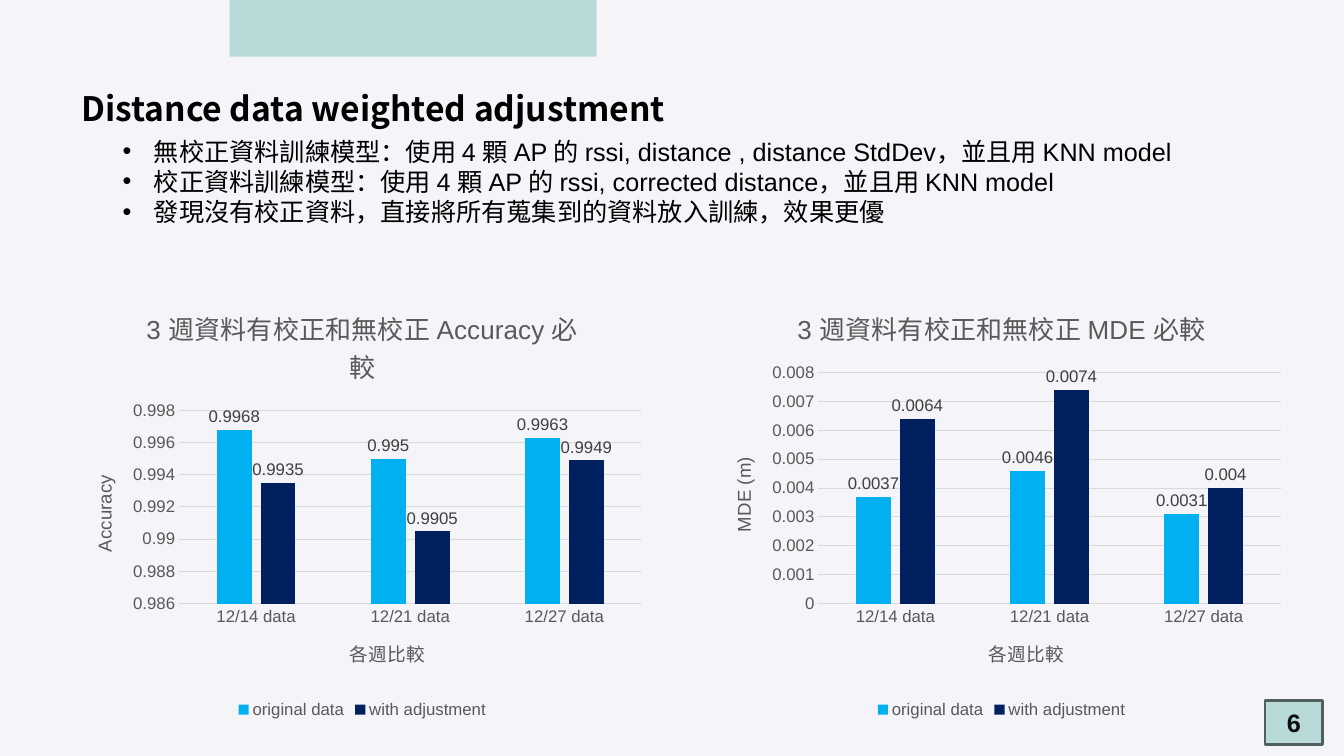
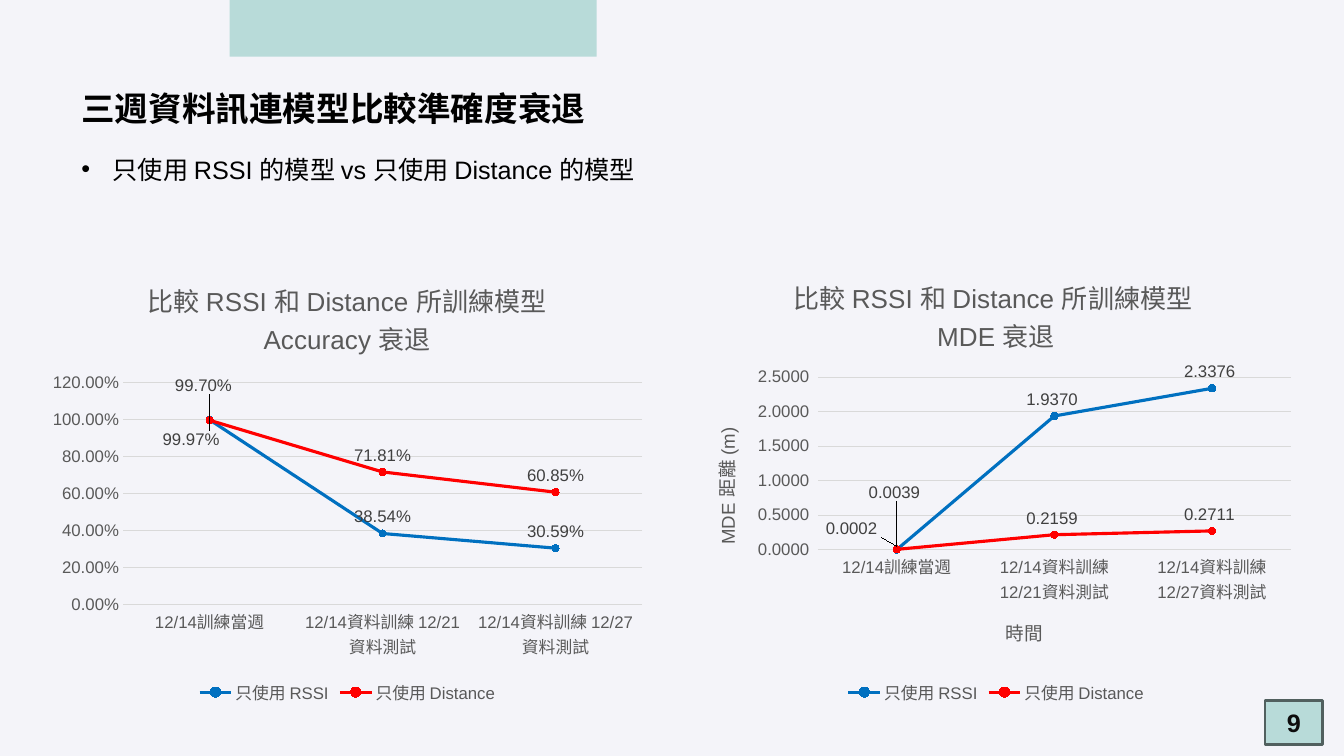
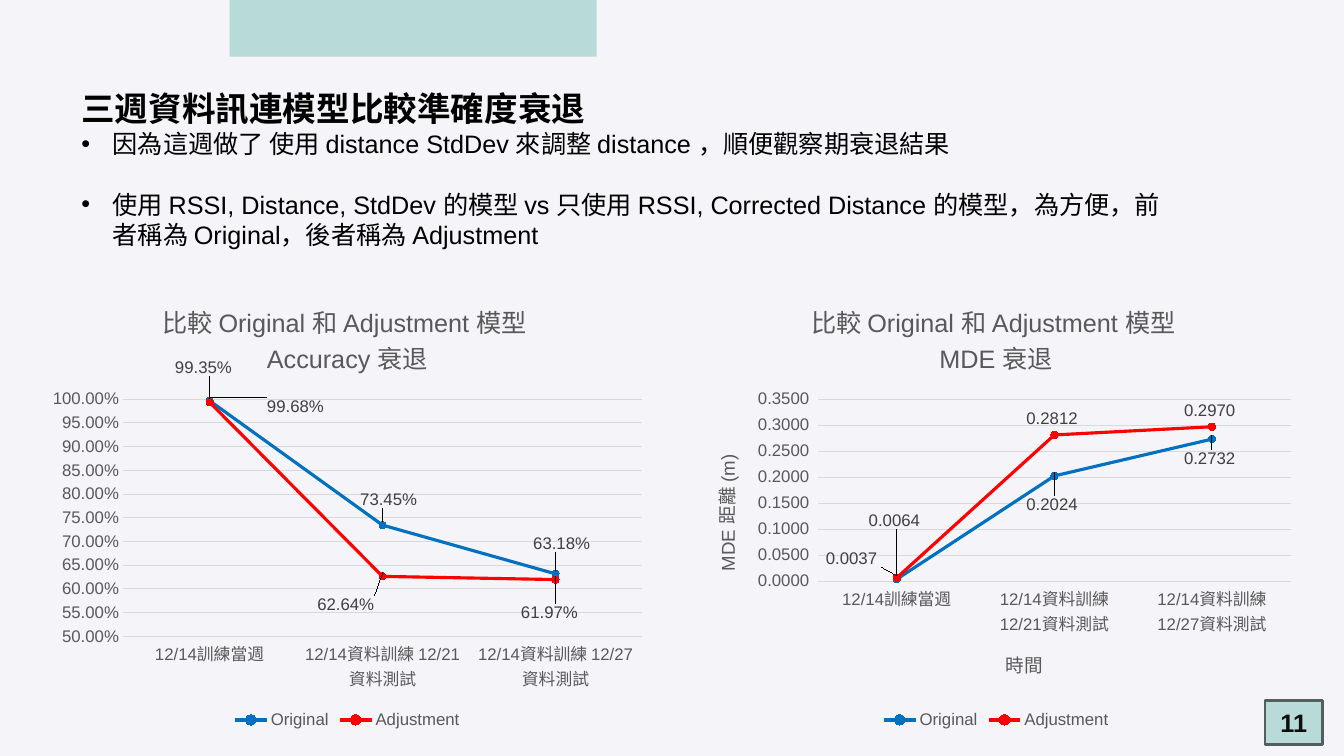
from dataclasses import dataclass, field

from lxml.etree import SubElement
from pptx import Presentation
from pptx.chart.chart import Chart
from pptx.chart.data import CategoryChartData
from pptx.chart.series import _BaseCategorySeries as Series
from pptx.dml.color import RGBColor
from pptx.enum.chart import XL_CHART_TYPE as ChartKind
from pptx.enum.chart import XL_LABEL_POSITION as LabelPosition
from pptx.enum.chart import XL_LEGEND_POSITION as LegendPosition
from pptx.enum.chart import XL_MARKER_STYLE as MarkerStyle
from pptx.enum.chart import XL_TICK_MARK as TickMark
from pptx.enum.shapes import MSO_SHAPE as ShapeKind
from pptx.enum.text import MSO_ANCHOR as Anchor
from pptx.enum.text import PP_ALIGN as Align
from pptx.oxml import parse_xml
from pptx.oxml.ns import nsdecls, qn
from pptx.slide import Slide
from pptx.text.text import Font, TextFrame
from pptx.util import Cm, Pt

COLORS = {
    "paper": "F4F4F9", "band": "B8DBD9", "edge": "51605F",
    "ink": "000000", "number": "0D0D0D",
    "caption": "595959", "label": "404040", "grid": "D9D9D9",
    "sky": "00B0F0", "navy": "002060", "blue": "0070C0", "red": "FF0000",
}
BODY_FONT = "Arial"
TITLE_FONT = "Noto Sans CJK SC"

GENERAL = "General"
PERCENT = "0.00%"
DISTANCE = r"0.0000_);[Red]\(0.0000\)"

WEEKS = ["12/14 data", "12/21 data", "12/27 data"]
TESTS = ["12/14訓練當週", "12/14資料訓練 12/21資料測試", "12/14資料訓練 12/27資料測試"]

Box = tuple[float, float, float, float]


@dataclass
class SeriesSpec:
    """One data series; moves maps a point to its label's offset in the chart."""
    name: str
    values: list[float]
    color: str
    moves: dict[int, tuple[float, float]] = field(default_factory=dict)


@dataclass
class ChartSpec:
    title: str
    series: list[SeriesSpec]
    number_format: str = GENERAL
    category_title: str = ""
    value_title: str = ""
    limits: tuple[float, float] | None = None
    title_size: float = 18.6


@dataclass
class PageSpec:
    number: int
    title: str
    bullets: list[str]
    bullet_box: Box
    kind: ChartKind
    categories: list[str]
    chart_boxes: list[Box]
    charts: list[ChartSpec]
    bullet_gap: float = 0


def chart_pair(lefts: tuple[float, float], top: float, width: float, height: float) -> list[Box]:
    return [(left, top, width, height) for left in lefts]


def bar_series(original: list[float], adjusted: list[float]) -> list[SeriesSpec]:
    return [SeriesSpec("original data", original, "sky"),
            SeriesSpec("with adjustment", adjusted, "navy")]


TREND_LEFTS = (1.02, 17.37)
TREND_TITLE = "三週資料訊連模型比較準確度衰退"
MDE_AXES = {"number_format": DISTANCE, "category_title": "時間", "value_title": "MDE 距離 (m)"}

PAGES = [
    PageSpec(
        6, "Distance data weighted adjustment",
        ["無校正資料訓練模型：使用 4 顆 AP 的 rssi, distance , distance StdDev，並且用 KNN model",
         "校正資料訓練模型：使用 4 顆 AP 的 rssi, corrected distance，並且用 KNN model",
         "發現沒有校正資料，直接將所有蒐集到的資料放入訓練，效果更優"],
        (2.84, 3.3, 28.19, 2.57), ChartKind.COLUMN_CLUSTERED, WEEKS,
        chart_pair((1.8, 17.91), 7.24, 14.66, 10.97),
        [ChartSpec("3 週資料有校正和無校正 Accuracy 必較",
                   bar_series([0.9968, 0.995, 0.9963], [0.9935, 0.9905, 0.9949]),
                   category_title="各週比較", value_title="Accuracy"),
         ChartSpec("3 週資料有校正和無校正 MDE 必較",
                   bar_series([0.0037, 0.0046, 0.0031], [0.0064, 0.0074, 0.004]),
                   category_title="各週比較", value_title="MDE (m)")],
    ),
    PageSpec(
        9, TREND_TITLE, ["只使用 RSSI 的模型 vs 只使用 Distance 的模型"],
        (1.8, 3.76, 27.91, 1.02), ChartKind.LINE_MARKERS, TESTS,
        chart_pair(TREND_LEFTS, 6.53, 15.47, 11.33),
        [ChartSpec("比較 RSSI 和 Distance 所訓練模型 Accuracy 衰退",
                   [SeriesSpec("只使用 RSSI", [0.9997, 0.3854, 0.3059], "blue",
                               {0: (-0.03, 0.08)}),
                    SeriesSpec("只使用 Distance", [0.997, 0.7181, 0.6085], "red",
                               {0: (-0.01, -0.04)})],
                   PERCENT),
         ChartSpec("比較 RSSI 和 Distance 所訓練模型 \nMDE 衰退",
                   [SeriesSpec("只使用 RSSI", [0.0002, 1.937, 2.3376], "blue",
                               {0: (-0.07, -0.01)}),
                    SeriesSpec("只使用 Distance", [0.0039, 0.2159, 0.2711], "red",
                               {0: (0, -0.09)})],
                   **MDE_AXES)],
    ),
    PageSpec(
        11, TREND_TITLE,
        ["因為這週做了 使用 distance StdDev 來調整 distance ，順便觀察期衰退結果",
         "使用 RSSI, Distance, StdDev 的模型 vs 只使用 RSSI, Corrected Distance 的模型，"
         "為方便，前者稱為 Original，後者稱為 Adjustment"],
        (1.8, 3.12, 27.91, 3.33), ChartKind.LINE_MARKERS, TESTS,
        chart_pair(TREND_LEFTS, 7.14, 15.47, 11.33),
        [ChartSpec("比較 Original 和 Adjustment 模型 \nAccuracy 衰退",
                   [SeriesSpec("Original", [0.9968, 0.7345, 0.6318], "blue",
                               {0: (0.14, 0.05), 1: (0.01, -0.02), 2: (0.01, -0.03)}),
                    SeriesSpec("Adjustment", [0.9935, 0.6264, 0.6197], "red",
                               {0: (-0.01, -0.04), 1: (-0.06, 0.1), 2: (-0.01, 0.11)})],
                   PERCENT, limits=(0.5, 1), title_size=18),
         ChartSpec("比較 Original 和 Adjustment 模型 \nMDE 衰退",
                   [SeriesSpec("Original", [0.0037, 0.2024, 0.2732], "blue",
                               {0: (-0.07, -0.01), 1: (0, 0.1), 2: (0, 0.08)}),
                    SeriesSpec("Adjustment", [0.0064, 0.2812, 0.297], "red",
                               {0: (0, -0.09)})],
                   title_size=18, **MDE_AXES)],
        bullet_gap=21.5,
    ),
]


def rgb(name: str) -> RGBColor:
    return RGBColor.from_string(COLORS[name])


def place(box: Box) -> list[Cm]:
    return [Cm(length) for length in box]


def style_font(font: Font, size: float, color: str, bold: bool = False,
               name: str = BODY_FONT) -> None:
    font.size = Pt(size)
    font.color.rgb = rgb(color)
    font.bold = bold
    font.name = name


def write(frame: TextFrame, text: str, *, size: float, color: str = "ink", bold: bool = False,
          font: str = BODY_FONT, east_asian: str = "", align: Align | None = None,
          line_spacing: float | None = None, space_after: float = 0,
          bullet: bool = False) -> None:
    """Fill the frame with one paragraph for each line of text."""
    frame.text = text
    for index, para in enumerate(frame.paragraphs):
        if align is not None:
            para.alignment = align
        if line_spacing is not None:
            para.line_spacing = line_spacing
        if space_after and index < len(frame.paragraphs) - 1:
            para.space_after = Pt(space_after)
        if bullet:
            props = para._p.get_or_add_pPr()
            props.set("marL", str(Cm(0.79)))
            props.set("indent", str(Cm(-0.79)))
            SubElement(props, qn("a:buFont"), typeface=BODY_FONT)
            SubElement(props, qn("a:buChar"), char="•")
        for span in para.runs:
            style_font(span.font, size, color, bold, font)
            if east_asian:
                latin = span._r.rPr.find(qn("a:latin"))
                latin.addnext(parse_xml(f'<a:ea {nsdecls("a")} typeface="{east_asian}"/>'))


def add_text(page: Slide, box: Box, text: str, **formats) -> None:
    frame = page.shapes.add_textbox(*place(box)).text_frame
    frame.word_wrap = True
    write(frame, text, **formats)


def add_frame(page: Slide, number: int, title: str) -> None:
    """Draw the background, band, page number and title that all slides share."""
    page.background.fill.solid()
    page.background.fill.fore_color.rgb = rgb("paper")
    band, badge = [page.shapes.add_shape(ShapeKind.RECTANGLE, *place(box))
                   for box in ((5.79, -2.41, 9.25, 3.84), (31.88, 17.65, 1.45, 1.12))]
    for shape in (band, badge):
        shape.shadow.inherit = False
        shape.fill.solid()
        shape.fill.fore_color.rgb = rgb("band")
    band.line.fill.background()
    badge.line.color.rgb = rgb("edge")
    badge.line.width = Pt(2)
    badge.text_frame.vertical_anchor = Anchor.MIDDLE
    write(badge.text_frame, str(number), size=18, color="number", bold=True, align=Align.CENTER)
    add_text(page, (1.8, 1.07, 32.08, 1.98), title, size=24, bold=True, font=TITLE_FONT,
             east_asian=TITLE_FONT, line_spacing=2)


def clear_background(chart: Chart) -> None:
    empty = (f'<c:spPr {nsdecls("c", "a")}><a:noFill/><a:ln><a:noFill/></a:ln></c:spPr>')
    body = chart._chartSpace.find(qn("c:chart"))
    body.addnext(parse_xml(empty))
    body.find(qn("c:plotArea")).append(parse_xml(empty))


def style_axes(chart: Chart, spec: ChartSpec) -> None:
    across, upward = chart.category_axis, chart.value_axis
    for axis, title, turn in ((across, spec.category_title, 0),
                              (upward, spec.value_title, -5400000)):
        axis.major_tick_mark = axis.minor_tick_mark = TickMark.NONE
        style_font(axis.tick_labels.font, 12, "caption")
        axis.has_title = bool(title)
        if title:
            write(axis.axis_title.text_frame, title, size=13.3, color="caption")
            for body in axis.axis_title._element.iter(qn("a:bodyPr")):
                body.set("rot", str(turn))
    upward.has_major_gridlines = True
    for line in (across.format.line, upward.major_gridlines.format.line):
        line.color.rgb = rgb("grid")
        line.width = Pt(0.75)
    upward.format.line.fill.background()
    upward.tick_labels.number_format = spec.number_format
    upward.tick_labels.number_format_is_linked = False
    if spec.limits:
        upward.minimum_scale, upward.maximum_scale = spec.limits


def move_label(series: Series, index: int, offset: tuple[float, float],
               number_format: str) -> None:
    label = series.points[index].data_label
    label.position = LabelPosition.ABOVE
    style_font(label.font, 12, "label")
    x, y = offset
    element = series._element.xpath(f'.//c:dLbl[c:idx/@val="{index}"]')[0]
    element.insert(1, parse_xml(
        f'<c:layout {nsdecls("c")}><c:manualLayout><c:x val="{x}"/><c:y val="{y}"/>'
        '</c:manualLayout></c:layout>'))
    element.insert(2, parse_xml(
        f'<c:numFmt {nsdecls("c")} formatCode="{number_format}" sourceLinked="0"/>'))


def style_series(series: Series, spec: SeriesSpec, number_format: str, is_line: bool) -> None:
    color = rgb(spec.color)
    if is_line:
        series.smooth = False
        series.format.line.color.rgb = color
        series.format.line.width = Pt(2.25)
        series.marker.style = MarkerStyle.CIRCLE
        series.marker.size = 5
        series.marker.format.fill.solid()
        series.marker.format.fill.fore_color.rgb = color
        series.marker.format.line.color.rgb = color
    else:
        series.format.fill.solid()
        series.format.fill.fore_color.rgb = color
    labels = series.data_labels
    labels.show_value = True
    labels.position = LabelPosition.ABOVE if is_line else LabelPosition.OUTSIDE_END
    labels.number_format = number_format
    labels.number_format_is_linked = False
    style_font(labels.font, 12, "label")
    for index, offset in spec.moves.items():
        move_label(series, index, offset, number_format)


def add_chart(page: Slide, kind: ChartKind, box: Box, categories: list[str],
              spec: ChartSpec) -> None:
    data = CategoryChartData(number_format=spec.number_format)
    data.categories = categories
    for item in spec.series:
        data.add_series(item.name, item.values)
    chart = page.shapes.add_chart(kind, *place(box), data).chart
    clear_background(chart)
    style_font(chart.font, 10, "ink")
    chart.has_title = True
    write(chart.chart_title.text_frame, spec.title, size=spec.title_size, color="caption")
    chart.has_legend = True
    chart.legend.position = LegendPosition.BOTTOM
    chart.legend.include_in_layout = False
    style_font(chart.legend.font, 12, "caption")
    style_axes(chart, spec)
    plot = chart.plots[0]
    plot.vary_by_categories = False
    is_line = kind == ChartKind.LINE_MARKERS
    if not is_line:
        plot.gap_width = 219
        plot.overlap = -27
    for series, item in zip(plot.series, spec.series):
        style_series(series, item, spec.number_format, is_line)


def main() -> None:
    deck = Presentation()
    deck.slide_width, deck.slide_height = Cm(33.87), Cm(19.05)
    for spec in PAGES:
        page = deck.slides.add_slide(deck.slide_layouts[6])
        add_frame(page, spec.number, spec.title)
        add_text(page, spec.bullet_box, "\n".join(spec.bullets), size=18, bullet=True,
                 space_after=spec.bullet_gap)
        for box, chart in zip(spec.chart_boxes, spec.charts):
            add_chart(page, spec.kind, box, spec.categories, chart)
    deck.save("out.pptx")


if __name__ == "__main__":
    main()
